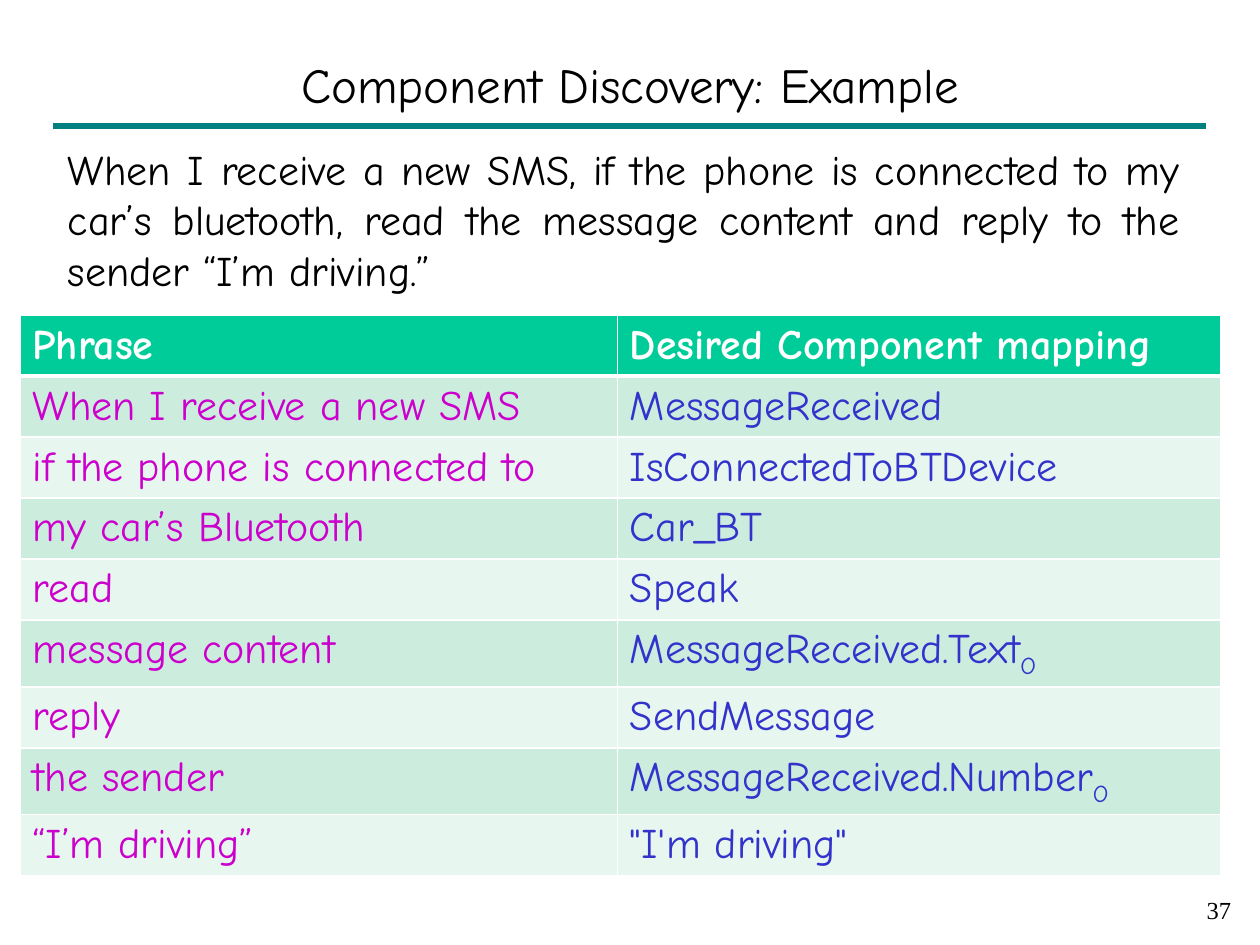
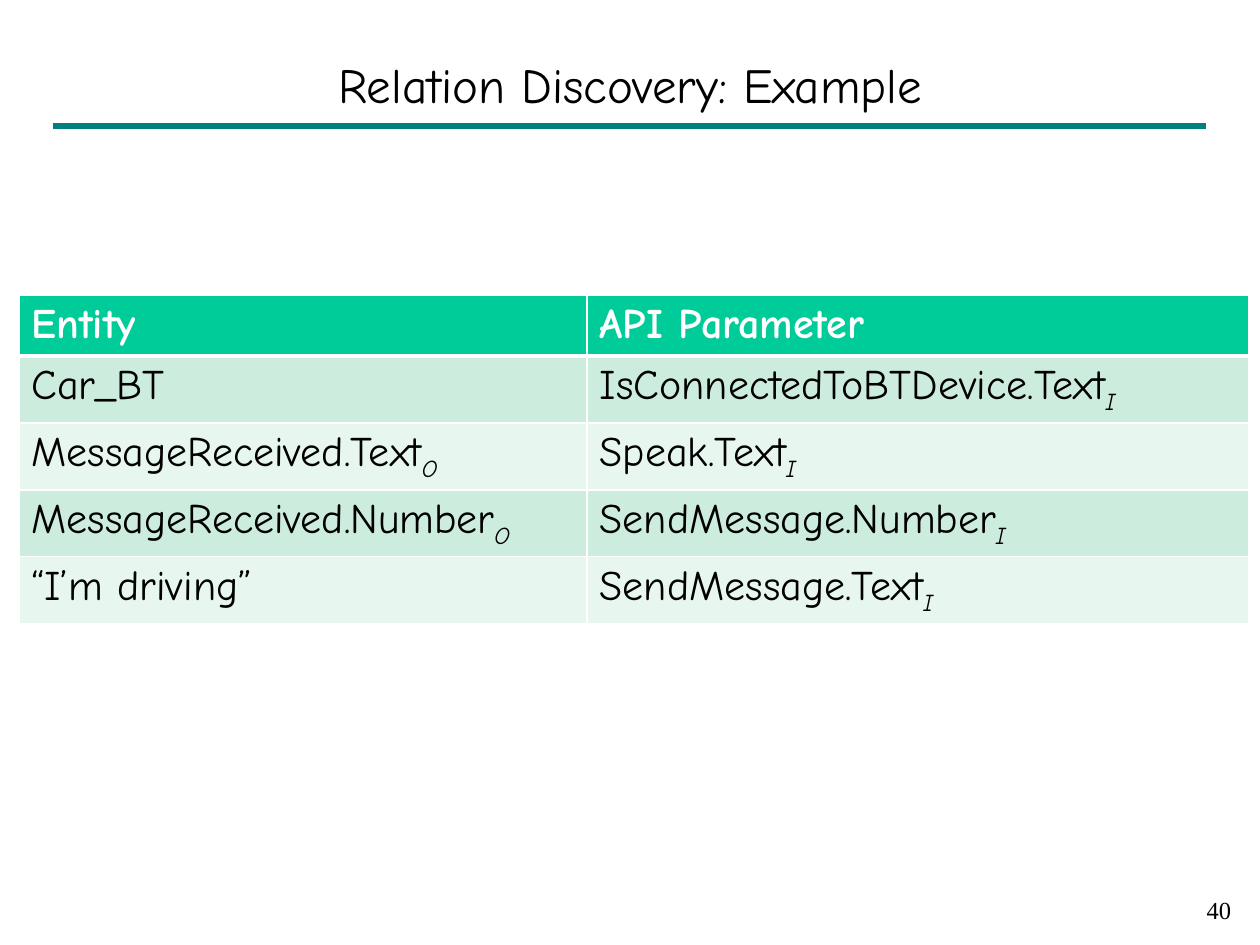
from typing import NamedTuple

from lxml import etree
from pptx import Presentation
from pptx.dml.color import RGBColor
from pptx.enum import shapes, text
from pptx.oxml import ns
from pptx.util import Inches, Pt

BLACK = RGBColor(0x00, 0x00, 0x00)
WHITE = RGBColor(0xFF, 0xFF, 0xFF)
TEAL = RGBColor(0x00, 0x80, 0x80)
GREEN = RGBColor(0x00, 0xCC, 0x99)
MINT = RGBColor(0xCC, 0xEC, 0xDE)
PALE = RGBColor(0xE7, 0xF6, 0xEF)
PINK = RGBColor(0xCC, 0x00, 0xCC)
BLUE = RGBColor(0x33, 0x33, 0xCC)

MAIN = "Comic Neue"
SERIF = "Times New Roman"
ALIGN = text.PP_ALIGN


class Cell(NamedTuple):
    text: str
    sub: str = ""


class Grid(NamedTuple):
    left: float
    top: float
    widths: tuple[float, float]
    head: tuple[str, str]
    rows: list[tuple[Cell, Cell]]
    inks: tuple[RGBColor, RGBColor] = (BLACK, BLACK)
    slant: bool = False  # italic subscripts


class Page(NamedTuple):
    title: str
    number: int
    grid: Grid
    body: str = ""


PAGES = [
    Page(
        "Component Discovery: Example", 37,
        Grid(
            0.16, 2.5, (4.74, 4.79), ("Phrase", "Desired Component mapping"),
            [
                (Cell("When I receive a new SMS"), Cell("MessageReceived")),
                (Cell("if the phone is connected to"), Cell("IsConnectedToBTDevice")),
                (Cell("my car’s Bluetooth"), Cell("Car_BT")),
                (Cell("read"), Cell("Speak")),
                (Cell("message content"), Cell("MessageReceived.Text", "O")),
                (Cell("reply"), Cell("SendMessage")),
                (Cell("the sender"), Cell("MessageReceived.Number", "O")),
                (Cell("“I’m driving”"), Cell('"I\'m driving"')),
            ],
            inks=(PINK, BLUE),
        ),
        "When I receive a new SMS, if the phone is connected to my car’s bluetooth, "
        "read the message content and reply to the sender “I’m driving.”",
    ),
    Page(
        "Relation Discovery: Example", 40,
        Grid(
            0.15, 2.34, (4.51, 5.25), ("Entity", "API Parameter"),
            [
                (Cell("Car_BT"), Cell("IsConnectedToBTDevice.Text", "I")),
                (Cell("MessageReceived.Text", "O"), Cell("Speak.Text", "I")),
                (Cell("MessageReceived.Number", "O"), Cell("SendMessage.Number", "I")),
                (Cell("“I’m driving”"), Cell("SendMessage.Text", "I")),
            ],
            slant=True,
        ),
    ),
]


def add_run(para, words: str, ink=BLACK, **style):
    run = para.add_run()
    run.text = words
    run.font.color.rgb = ink
    for key, value in {"name": MAIN, "size": Pt(24), "bold": False, **style}.items():
        setattr(run.font, key, value)
    return run


def set_frame(shape, box, words: str, align, anchor=text.MSO_ANCHOR.TOP, **style):
    """Place a text shape and fill it with one paragraph."""
    for key, value in zip(("left", "top", "width", "height"), box):
        setattr(shape, key, Inches(value))
    frame = shape.text_frame
    for key, value in {"word_wrap": True, "auto_size": text.MSO_AUTO_SIZE.NONE,
                       "vertical_anchor": anchor}.items():
        setattr(frame, key, value)
    para = frame.paragraphs[0]
    para.alignment = align
    add_run(para, words, **style)
    return para


def add_text(slide, box, words: str, align, **style):
    shape = slide.shapes.add_textbox(*map(Inches, box))
    return set_frame(shape, box, words, align, **style)


def add_rule(slide) -> None:
    rule = slide.shapes.add_connector(
        shapes.MSO_CONNECTOR.STRAIGHT, *map(Inches, (0.42, 1, 9.57, 1)))
    rule.line.color.rgb = TEAL
    rule.line.width = Pt(4)
    etree.SubElement(rule._element.spPr, ns.qn("a:effectLst"))


def set_edges(cell, row: int) -> None:
    """White borders, thick between the header and the first row."""
    props = cell._tc.get_or_add_tcPr()
    thick = {(0, "lnB"), (1, "lnT")}
    for spot, side in enumerate(("lnL", "lnR", "lnT", "lnB")):
        width = Pt(3 if (row, side) in thick else 1)
        edge = etree.Element(ns.qn(f"a:{side}"), w=str(width))
        fill = etree.SubElement(edge, ns.qn("a:solidFill"))
        etree.SubElement(fill, ns.qn("a:srgbClr"), val=str(WHITE))
        props.insert(spot, edge)


def add_grid(slide, grid: Grid) -> None:
    rows = [tuple(map(Cell, grid.head)), *grid.rows]
    tall = [0.53 if any(c.sub for c in row) else 0.48 for row in rows]
    table = slide.shapes.add_table(
        len(rows), len(grid.widths),
        *map(Inches, (grid.left, grid.top, sum(grid.widths), sum(tall)))).table
    for col, width in zip(table.columns, grid.widths):
        col.width = Inches(width)
    for i, row in enumerate(rows):
        table.rows[i].height = Inches(tall[i])
        for j, item in enumerate(row):
            cell = table.cell(i, j)
            cell.fill.solid()
            cell.fill.fore_color.rgb = (MINT if i % 2 else PALE) if i else GREEN
            set_edges(cell, i)
            para = cell.text_frame.paragraphs[0]
            ink = grid.inks[j] if i else WHITE
            add_run(para, item.text, ink, bold=i == 0)
            if item.sub:
                run = add_run(para, item.sub, ink, italic=grid.slant)
                run._r.get_or_add_rPr().set("baseline", "-25000")


def add_page(deck, page: Page) -> None:
    slide = deck.slides.add_slide(deck.slide_layouts[5])
    add_rule(slide)
    set_frame(slide.shapes.title, (0.75, 0.33, 8.5, 0.67), page.title,
              ALIGN.CENTER, text.MSO_ANCHOR.MIDDLE, size=Pt(28))
    if page.body:
        para = add_text(slide, (0.44, 1.09, 9.02, 1.57), page.body, ALIGN.JUSTIFY)
        para.space_before = Pt(4.8)
    add_text(slide, (7.79, 7.05, 2.08, 0.42), str(page.number), ALIGN.RIGHT,
             name=SERIF, size=Pt(14))
    add_grid(slide, page.grid)


def main() -> None:
    deck = Presentation()
    deck.slide_width, deck.slide_height = Inches(10), Inches(7.5)
    for page in PAGES:
        add_page(deck, page)
    deck.save("out.pptx")


if __name__ == "__main__":
    main()
